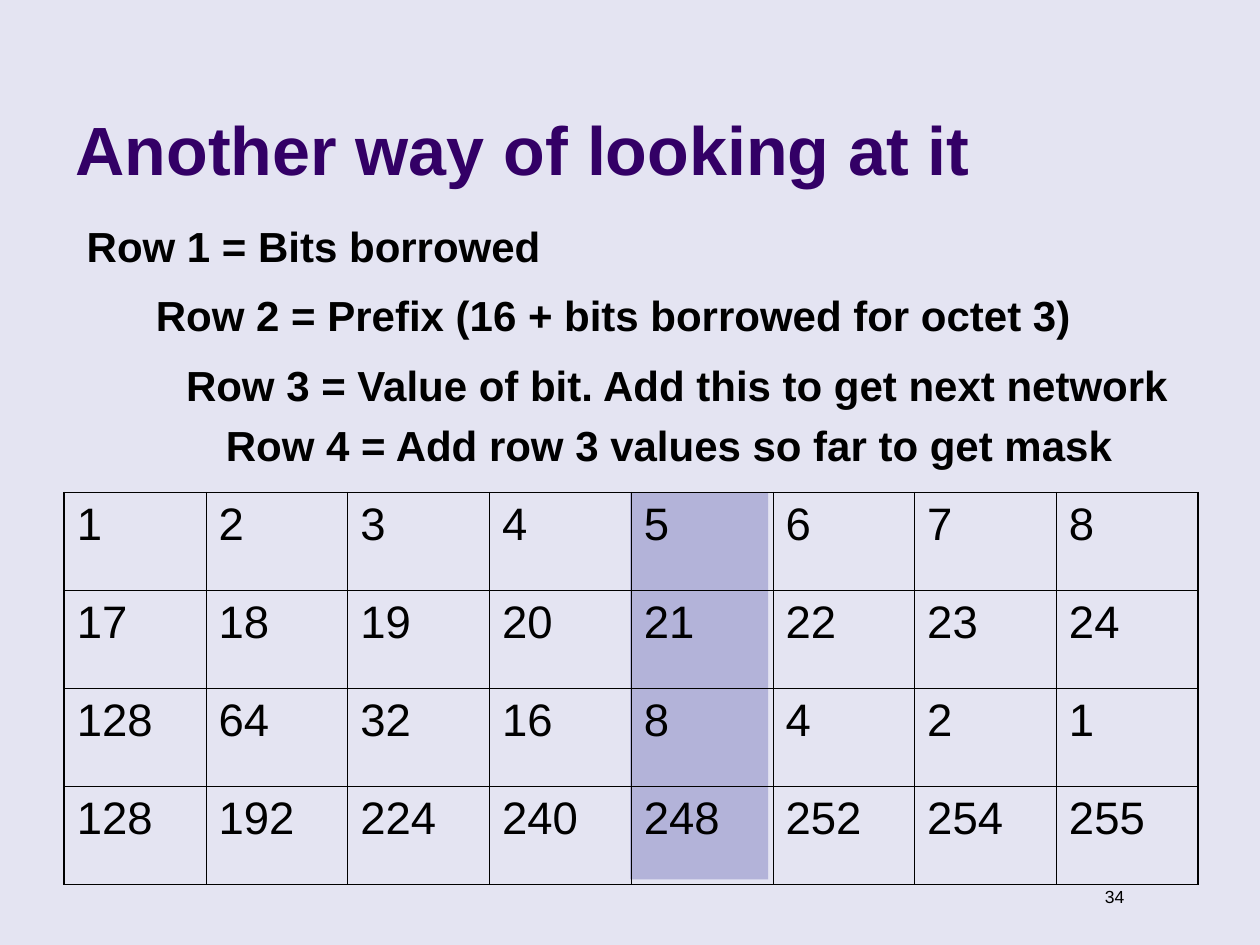
"""Build the slide that relates borrowed bits, prefixes, bit values and masks."""
from dataclasses import dataclass

from lxml.etree import SubElement
from pptx import Presentation
from pptx.dml.color import RGBColor
from pptx.enum.shapes import MSO_SHAPE
from pptx.enum.text import MSO_ANCHOR, MSO_AUTO_SIZE, PP_ALIGN
from pptx.oxml.ns import qn
from pptx.slide import Slide
from pptx.table import _Cell
from pptx.text.text import TextFrame
from pptx.util import Pt

COLORS = {"background": "E4E4F2", "title": "330066", "text": "000000", "highlight": "B3B3D9"}
FONT = "Arial"
TABLE_LEFT, TABLE_TOP = 36.75, 281.5
COLUMN_WIDTH, ROW_HEIGHT = 81, 56
OUTER_LINE, INNER_LINE = 1.08, 0.45


@dataclass(frozen=True)
class Label:
    text: str
    left: float
    top: float
    width: float
    height: float = 36
    size: float = 24
    bold: bool = True
    align: PP_ALIGN = PP_ALIGN.LEFT


LABELS = [
    Label("34", 604, 502.5, 45.5, 19.5, 10, False, PP_ALIGN.RIGHT),
    Label("Row 1 = Bits borrowed", 42.5, 122.5, 363),
    Label("Row 2 = Prefix (16 + bits borrowed for octet 3)", 82, 162, 572.5),
    Label("Row 3 = Value of bit. Add this to get next network", 99.25, 202, 595.5),
    Label("Row 4 = Add row 3 values so far to get mask", 122, 236.25, 541.5),
]

BITS = range(1, 9)
BIT_VALUES = [2 ** (8 - bit) for bit in BITS]
SUBNET_ROWS = [
    list(BITS),
    [16 + bit for bit in BITS],
    BIT_VALUES,
    [sum(BIT_VALUES[:bit]) for bit in BITS],
]


def write(frame: TextFrame, text: str, size: float, bold: bool = False,
          color: str = "text", align: PP_ALIGN = PP_ALIGN.LEFT) -> None:
    """Put one formatted run into the first paragraph of a frame."""
    paragraph = frame.paragraphs[0]
    paragraph.alignment = align
    run = paragraph.add_run()
    run.text = text
    run.font.name = FONT
    run.font.size = Pt(size)
    run.font.bold = bold
    run.font.color.rgb = RGBColor.from_string(COLORS[color])


def add_title(slide: Slide, text: str) -> None:
    """Place and format the title placeholder."""
    title = slide.shapes.title
    title.left, title.top, title.width, title.height = Pt(36), Pt(9.5), Pt(594), Pt(102)
    frame = title.text_frame
    frame.auto_size = MSO_AUTO_SIZE.NONE
    frame.word_wrap = True
    frame.vertical_anchor = MSO_ANCHOR.BOTTOM
    write(frame, text, 39, True, "title")


def add_label(slide: Slide, label: Label) -> None:
    """Add one line of text in its own box."""
    box = slide.shapes.add_textbox(
        Pt(label.left), Pt(label.top), Pt(label.width), Pt(label.height))
    frame = box.text_frame
    frame.word_wrap = True
    frame.auto_size = MSO_AUTO_SIZE.SHAPE_TO_FIT_TEXT
    write(frame, label.text, label.size, label.bold, align=label.align)


def add_highlight(slide: Slide) -> None:
    """Shade the fifth column behind the table."""
    highlight = slide.shapes.add_shape(
        MSO_SHAPE.RECTANGLE, Pt(360), Pt(TABLE_TOP), Pt(79), Pt(221))
    highlight.shadow.inherit = False
    highlight.fill.solid()
    highlight.fill.fore_color.rgb = RGBColor.from_string(COLORS["highlight"])
    highlight.line.fill.background()


def set_borders(cell: _Cell, widths: dict[str, float]) -> None:
    """Draw the cell's borders, given a width for each side."""
    properties = cell._tc.get_or_add_tcPr()
    for position, (side, width) in enumerate(widths.items()):
        line = SubElement(properties, qn(f"a:ln{side}"), w=str(Pt(width)))
        fill = SubElement(line, qn("a:solidFill"))
        SubElement(fill, qn("a:srgbClr"), val=COLORS["text"])
        properties.insert(position, line)


def add_subnet_table(slide: Slide, rows: list[list[int]]) -> None:
    """Add the grid of values with a heavier outer frame."""
    row_count, column_count = len(rows), len(rows[0])
    table = slide.shapes.add_table(
        row_count, column_count, Pt(TABLE_LEFT), Pt(TABLE_TOP),
        Pt(COLUMN_WIDTH * column_count), Pt(ROW_HEIGHT * row_count)).table
    table.first_row = table.horz_banding = False
    for row, values in enumerate(rows):
        for column, value in enumerate(values):
            cell = table.cell(row, column)
            cell.fill.background()
            write(cell.text_frame, str(value), 26)
            on_edge = {"L": column == 0, "R": column == column_count - 1,
                       "T": row == 0, "B": row == row_count - 1}
            set_borders(cell, {side: OUTER_LINE if outer else INNER_LINE
                               for side, outer in on_edge.items()})


def main() -> None:
    """Build and save the slide."""
    presentation = Presentation()
    presentation.slide_width, presentation.slide_height = Pt(720), Pt(540)
    slide = presentation.slides.add_slide(presentation.slide_layouts.get_by_name("Title Only"))
    slide.background.fill.solid()
    slide.background.fill.fore_color.rgb = RGBColor.from_string(COLORS["background"])
    add_highlight(slide)
    add_title(slide, "Another way of looking at it")
    add_subnet_table(slide, SUBNET_ROWS)
    for label in LABELS:
        add_label(slide, label)
    presentation.save("out.pptx")


if __name__ == "__main__":
    main()
